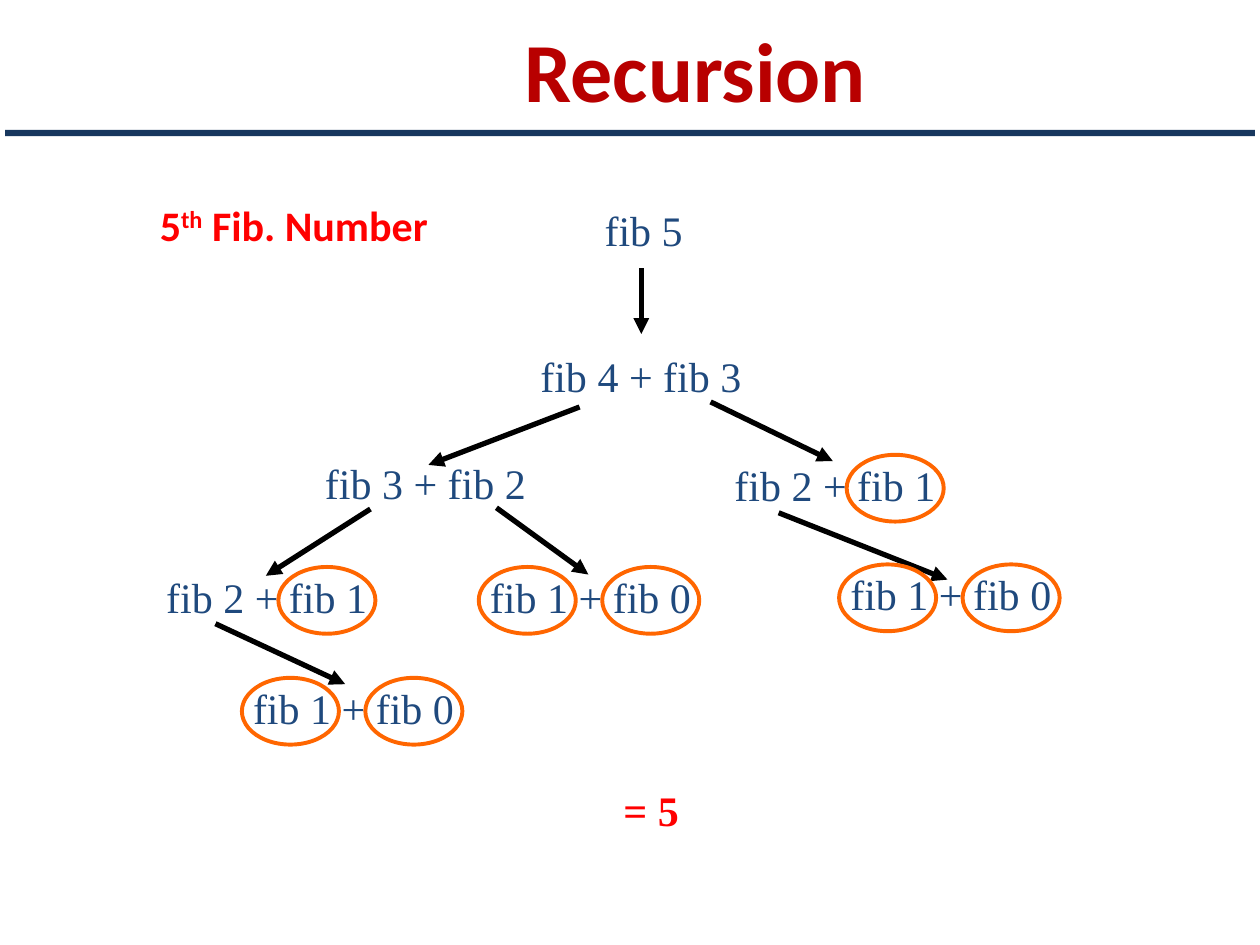
"""Build a slide that shows the call tree of the fifth Fibonacci number."""
from lxml.etree import SubElement
from pptx import Presentation
from pptx.dml.color import RGBColor
from pptx.enum.shapes import MSO_CONNECTOR, MSO_SHAPE
from pptx.enum.text import MSO_ANCHOR, MSO_AUTO_SIZE, PP_ALIGN
from pptx.oxml.ns import qn
from pptx.util import Inches, Pt

THEME = {
    "title": {"name": "Calibri", "size": Pt(48), "bold": True, "color": "B80000"},
    "heading": {"name": "Calibri", "size": Pt(24), "bold": True, "color": "FF0000"},
    "call": {"name": "Times New Roman", "size": Pt(24), "bold": False, "color": "1F497D"},
    "result": {"name": "Times New Roman", "size": Pt(24), "bold": True, "color": "FF0000"},
    "rule": RGBColor.from_string("17375E"),
    "arrow": RGBColor.from_string("000000"),
    "ring": RGBColor.from_string("FF6600"),
}


def add_span(para, text, style):
    span = para.add_run()
    span.text = text
    for key, value in THEME[style].items():
        if key == "color":
            span.font.color.rgb = RGBColor.from_string(value)
        else:
            setattr(span.font, key, value)
    return span


def add_label(left, top, width, height):
    box = page.shapes.add_textbox(Inches(left), Inches(top), Inches(width), Inches(height))
    box.text_frame.word_wrap = True
    box.text_frame.auto_size = MSO_AUTO_SIZE.SHAPE_TO_FIT_TEXT
    para = box.text_frame.paragraphs[0]
    para.line_spacing = 0.9
    properties = para._p.get_or_add_pPr()
    properties.set("marL", str(Inches(0.75)))
    properties.set("indent", str(Inches(-0.25)))
    return para


deck = Presentation()
deck.slide_width, deck.slide_height = Inches(10), Inches(7.5)
page = deck.slides.add_slide(deck.slide_layouts[6])

title = page.shapes.add_textbox(Inches(1.08), Inches(0.04), Inches(8.88), Inches(1.02))
title.text_frame.word_wrap = True
title.text_frame.vertical_anchor = MSO_ANCHOR.MIDDLE
title.text_frame.paragraphs[0].alignment = PP_ALIGN.CENTER
add_span(title.text_frame.paragraphs[0], "Recursion", "title")

arrows = [
    (5.09, 2.13, 5.09, 2.65),
    (4.6, 3.23, 3.4, 3.69),
    (5.64, 3.19, 6.61, 3.66),
    (2.94, 4.04, 2.11, 4.57),
    (3.94, 4.03, 4.67, 4.56),
    (6.18, 4.07, 7.52, 4.6),
    (1.71, 4.95, 2.74, 5.43),
]
for ends in arrows:
    arrow = page.shapes.add_connector(MSO_CONNECTOR.STRAIGHT, *map(Inches, ends))
    arrow.line.color.rgb = THEME["arrow"]
    arrow.line.width = Pt(3)
    SubElement(arrow.line._get_or_add_ln(), qn("a:tailEnd"), type="triangle")
    SubElement(arrow._element.spPr, qn("a:effectLst"))

heading = add_label(0.67, 1.58, 3.13, 0.47)
add_span(heading, "5", "heading")
ordinal = add_span(heading, "th", "heading")
ordinal._r.get_or_add_rPr().set("baseline", "30000")
add_span(heading, " Fib. Number", "heading")

add_span(add_label(4.2, 1.62, 1.8, 0.46), "fib 5", "call")

sums = [
    (3.69, 2.78, 4, 3),
    (1.98, 3.63, 3, 2),
    (5.23, 3.64, 2, 1),
    (0.72, 4.53, 2, 1),
    (3.29, 4.53, 1, 0),
    (6.15, 4.51, 1, 0),
    (1.41, 5.41, 1, 0),
]
for left, top, first, second in sums:
    add_span(add_label(left, top, 2.79, 0.46), f"fib {first} + fib {second}", "call")
    for number, offset in ((first, 0.51), (second, 1.49)):
        if number <= 1:
            ring = page.shapes.add_shape(
                MSO_SHAPE.OVAL, Inches(left + offset), Inches(top - 0.03), Inches(0.77), Inches(0.53)
            )
            ring.shadow.inherit = False
            ring.fill.background()
            ring.line.color.rgb = THEME["ring"]
            ring.line.width = Pt(2.25)

add_span(add_label(4.35, 6.22, 1.47, 0.47), "= 5", "result")

rule = page.shapes.add_shape(MSO_SHAPE.RECTANGLE, Inches(0.04), Inches(1.03), Inches(9.92), Inches(0.05))
rule.shadow.inherit = False
rule.fill.solid()
rule.fill.fore_color.rgb = THEME["rule"]
rule.line.fill.background()

deck.save("out.pptx")
